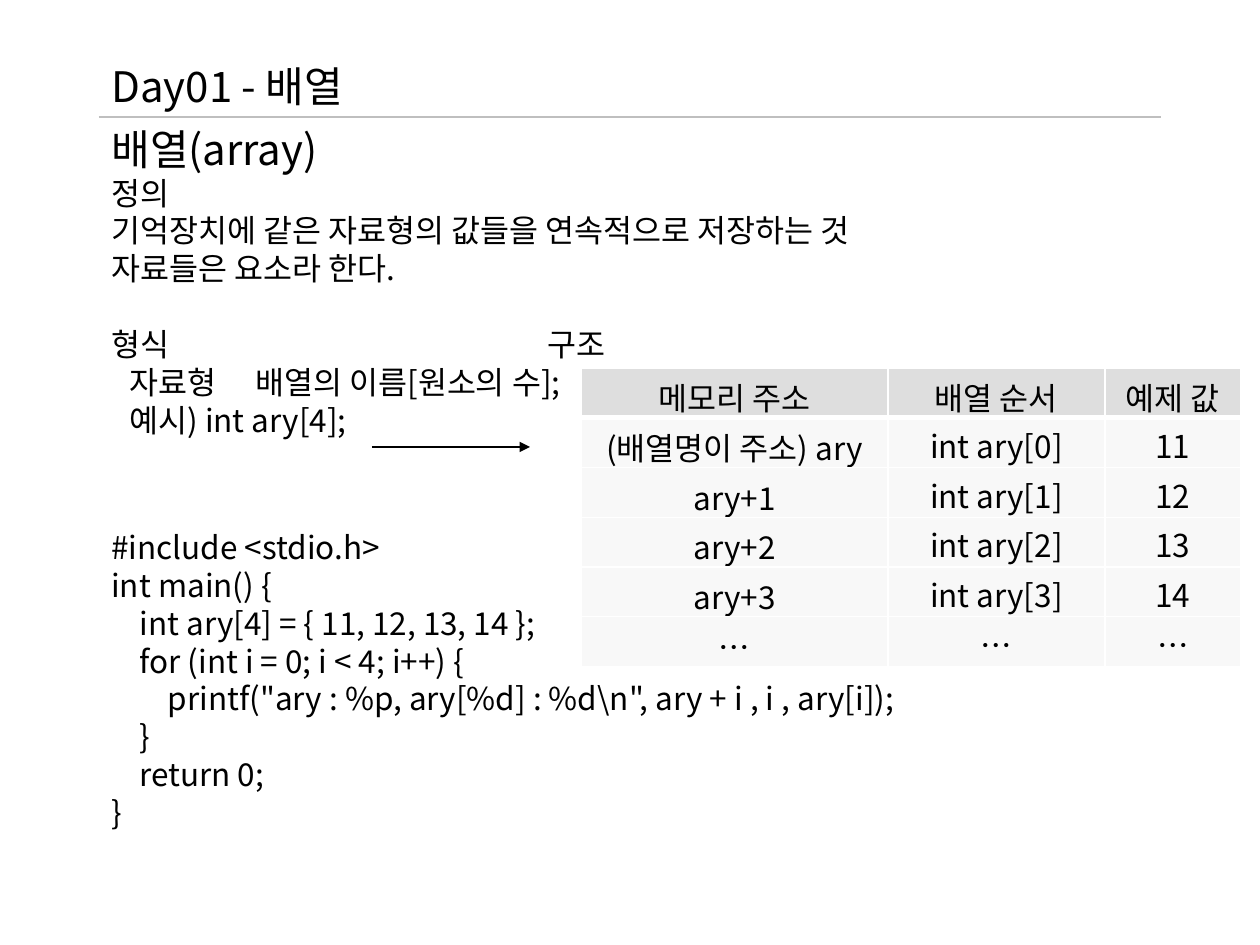
from lxml import etree
from pptx import Presentation
from pptx import util as u
from pptx.dml.color import RGBColor
from pptx.enum import shapes, text
from pptx.oxml.ns import qn

PX = 914400 / 126
FONT = "Noto Sans CJK KR"
HUES = {"ink": "000000", "rule": "BFBFBF", "head": "BFBFBF",
        "cell": "F2F2F2", "grid": "FFFFFF"}

# Each line: text, size in pt, indent px, tab stop px, space before pt
TITLE = [("Day01 - 배열", 24, 0, 0, 0)]
NOTES = [
    ("배열(array)", 24, 0, 0, 0),
    ("정의\v기억장치에 같은 자료형의 값들을 연속적으로 저장하는 것", 18, 0, 0, 0),
    ("자료들은 요소라 한다.", 18, 0, 0, 0),
    ("형식\t구조", 18, 0, 436, 21.7),
    ("자료형\t배열의 이름[원소의 수];", 18, 18, 121, 0),
    ("예시) int ary[4];", 18, 18, 0, 0),
]
CODE = """#include <stdio.h>
int main() {
    int ary[4] = { 11, 12, 13, 14 };
    for (int i = 0; i < 4; i++) {
        printf("ary : %p, ary[%d] : %d\\n", ary + i , i , ary[i]);
    }
    return 0;
}"""
TABLE = [
    ("메모리 주소", "배열 순서", "예제 값"),
    ("(배열명이 주소) ary", "int ary[0]", "11"),
    ("ary+1", "int ary[1]", "12"),
    ("ary+2", "int ary[2]", "13"),
    ("ary+3", "int ary[3]", "14"),
    ("…", "…", "…"),
]
COLS, ROW = (307, 217, 136), 49


def px(n):
    return u.Emu(round(n * PX))


def hue(name):
    return RGBColor.from_string(HUES[name])


def write(par, words, size):
    """Add the words as runs, with a line break at each vertical tab."""
    for i, part in enumerate(words.split("\v")):
        if i:
            par.add_line_break()
        run = par.add_run()
        run.text = part
        run.font.size = u.Pt(size)
        run.font.name = FONT
        run.font.color.rgb = hue("ink")
        ea = etree.SubElement(run.font._element, qn("a:ea"))
        ea.set("typeface", FONT)


def add_text(slide, box, lines):
    frame = slide.shapes.add_textbox(*map(px, box)).text_frame
    frame.word_wrap = True
    for i, (words, size, dent, tab, gap) in enumerate(lines):
        par = frame.add_paragraph() if i else frame.paragraphs[0]
        props = par._p.get_or_add_pPr()
        if dent:
            props.set("marL", str(px(dent)))
            props.set("indent", "0")
        if tab:
            tabs = etree.SubElement(props, qn("a:tabLst"))
            etree.SubElement(tabs, qn("a:tab"), pos=str(px(tab)), algn="l")
        if gap:
            par.space_before = u.Pt(gap)
        write(par, words, size)


def add_line(slide, ends, name, arrow=False):
    line = slide.shapes.add_connector(
        shapes.MSO_CONNECTOR.STRAIGHT, *map(px, ends))
    line.line.color.rgb = hue(name)
    line.line.width = u.Pt(0.75)
    if arrow:
        etree.SubElement(line.line._ln, qn("a:tailEnd"), type="triangle")
    etree.SubElement(line._element.spPr, qn("a:effectLst"))


def paint(cell, name, base):
    """Give the cell white borders and a half-clear fill."""
    props = cell._tc.get_or_add_tcPr()
    for side, wide in (("L", 1), ("R", 1), ("T", 1), ("B", base)):
        edge = etree.SubElement(props, qn("a:ln" + side), w=str(u.Pt(wide)))
        fill = etree.SubElement(edge, qn("a:solidFill"))
        etree.SubElement(fill, qn("a:srgbClr"), val=HUES["grid"])
    cell.fill.solid()
    cell.fill.fore_color.rgb = hue(name)
    tint = props.find(qn("a:solidFill")).find(qn("a:srgbClr"))
    etree.SubElement(tint, qn("a:alpha"), val="50000")


def add_grid(slide, left, top):
    box = (left, top, sum(COLS), ROW * len(TABLE))
    grid = slide.shapes.add_table(
        len(TABLE), len(COLS), *map(px, box)).table
    for col, wide in zip(grid.columns, COLS):
        col.width = px(wide)
    for r, row in enumerate(TABLE):
        grid.rows[r].height = px(ROW)
        for c, words in enumerate(row):
            cell = grid.cell(r, c)
            tight = r > 0 and c > 0
            cell.margin_left = cell.margin_right = px(8 if tight else 13)
            cell.margin_top = cell.margin_bottom = px(4 if tight else 6)
            cell.vertical_anchor = text.MSO_ANCHOR.MIDDLE
            par = cell.text_frame.paragraphs[0]
            par.alignment = text.PP_ALIGN.CENTER
            write(par, words, 18)
            paint(cell, "cell" if r else "head", 1 if r else 3)


def main():
    deck = Presentation()
    deck.slide_width, deck.slide_height = px(1260), px(945)
    slide = deck.slides.add_slide(deck.slide_layouts[6])
    add_text(slide, (99, 54, 1062, 63), TITLE)
    add_line(slide, (99, 117, 1161, 117), "rule")
    add_text(slide, (99, 117, 1062, 331), NOTES)
    code = [(row, 18, 0, 0, 0) for row in CODE.split("\n")]
    add_text(slide, (99, 522, 1147, 318), code)
    add_line(slide, (372, 447, 530, 447), "ink", arrow=True)
    add_grid(slide, 581, 368)
    deck.save("out.pptx")


if __name__ == "__main__":
    main()
